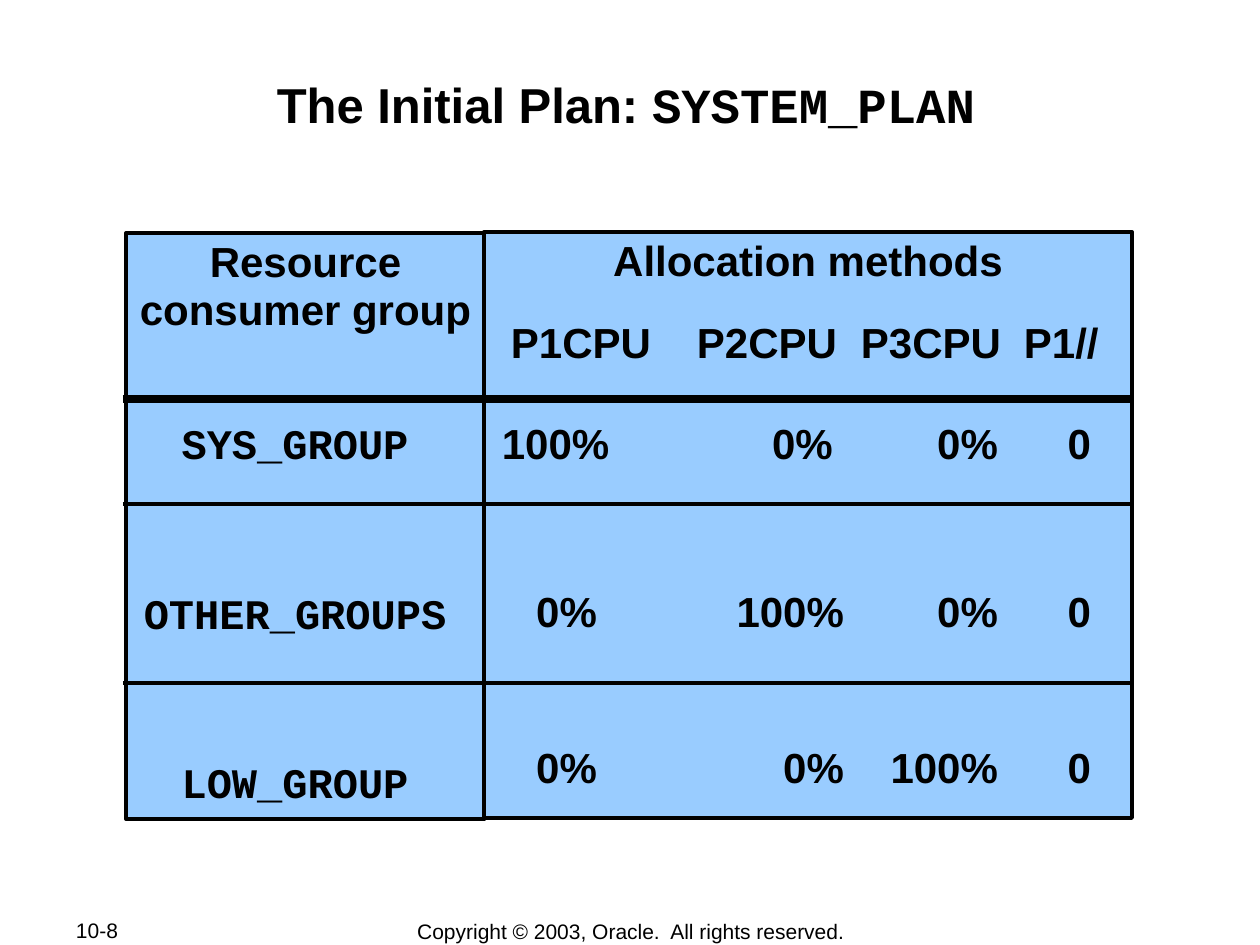
from lxml.etree import SubElement
from pptx import Presentation
from pptx.dml.color import RGBColor
from pptx.enum.shapes import MSO_CONNECTOR, MSO_SHAPE
from pptx.enum.text import MSO_ANCHOR, PP_ALIGN
from pptx.oxml.ns import qn
from pptx.util import Pt

PX = 7257
COLORS = {"ink": "000000", "cell": "99CCFF"}
SANS = "Arial"
MONO = "Courier New"
GROUPS = ["SYS_GROUP", "OTHER_GROUPS", "LOW_GROUP"]
METHODS = ["P1CPU", "P2CPU", "P3CPU", "P1//"]
METHOD_STOPS = [186, 350, 513]
ALLOCATIONS = [
    (["100%", "0%", "0%", "0"], [107, 331, 496, 589], 0),
    (["0%", "100%", "0%", "0"], [95, 342, 496, 589], 67),
    (["0%", "0%", "100%", "0"], [95, 342, 496, 589], 60),
]
RULES = [(399, 4.5), (504, 2.25), (683, 2.25)]


def px(*lengths):
    return [length * PX for length in lengths]


def color(name):
    return RGBColor.from_string(COLORS[name])


def set_frame(shape, inset_x=13, inset_y=6, anchor=MSO_ANCHOR.TOP):
    frame = shape.text_frame
    frame.word_wrap = True
    frame.vertical_anchor = anchor
    frame.margin_left = frame.margin_right = inset_x * PX
    frame.margin_top = frame.margin_bottom = inset_y * PX
    return frame


def add_frame(slide, box, **options):
    return set_frame(slide.shapes.add_textbox(*px(*box)), **options)


def add_run(paragraph, text, size=24, font=SANS, bold=True):
    run = paragraph.add_run()
    run.text = text
    run.font.name = font
    run.font.size = Pt(size)
    run.font.bold = bold
    run.font.color.rgb = color("ink")


def add_tabs(paragraph, stops, align):
    tab_list = SubElement(paragraph._p.get_or_add_pPr(), qn("a:tabLst"))
    for stop in stops:
        SubElement(tab_list, qn("a:tab"), pos=str(stop * PX), algn=align)


def add_header_cell(slide, box, lines):
    shape = slide.shapes.add_shape(MSO_SHAPE.RECTANGLE, *px(*box))
    shape.shadow.inherit = False
    shape.fill.solid()
    shape.fill.fore_color.rgb = color("cell")
    shape.line.color.rgb = color("ink")
    shape.line.width = Pt(2.25)
    paragraph = set_frame(shape).paragraphs[0]
    paragraph.alignment = PP_ALIGN.CENTER
    paragraph.line_spacing = 0.95
    for index, line in enumerate(lines):
        if index:
            paragraph.add_line_break()
        add_run(paragraph, line)


def add_rule(slide, y, width):
    rule = slide.shapes.add_connector(MSO_CONNECTOR.STRAIGHT, *px(123, y, 1131, y))
    rule.line.color.rgb = color("ink")
    rule.line.width = Pt(width)
    SubElement(rule._element.spPr, qn("a:effectLst"))


def add_title(slide):
    frame = add_frame(slide, (122, 73, 1008, 121), inset_x=1, inset_y=1)
    paragraph = frame.paragraphs[0]
    paragraph.alignment = PP_ALIGN.CENTER
    add_run(paragraph, "The Initial Plan: ", size=28)
    add_run(paragraph, "SYSTEM_PLAN", size=28, font=MONO)


def add_groups(slide):
    frame = add_frame(slide, (126, 412, 338, 396))
    for index, group in enumerate(GROUPS):
        paragraph = frame.add_paragraph() if index else frame.paragraphs[0]
        paragraph.alignment = PP_ALIGN.CENTER
        if index:
            paragraph.space_before = Pt(68)
        add_run(paragraph, group, font=MONO)


def add_methods(slide):
    paragraph = add_frame(slide, (498, 311, 632, 63)).paragraphs[0]
    add_tabs(paragraph, METHOD_STOPS, "l")
    add_run(paragraph, "\t".join(METHODS))


def add_allocations(slide):
    frame = add_frame(slide, (489, 412, 645, 383))
    for index, (values, stops, gap) in enumerate(ALLOCATIONS):
        paragraph = frame.add_paragraph() if index else frame.paragraphs[0]
        if gap:
            paragraph.space_before = Pt(gap)
        add_tabs(paragraph, stops, "r")
        add_run(paragraph, "".join("\t" + value for value in values))


def add_footer(slide, box, text, alignment):
    frame = add_frame(slide, box, inset_y=0, anchor=MSO_ANCHOR.MIDDLE)
    paragraph = frame.paragraphs[0]
    paragraph.alignment = alignment
    add_run(paragraph, text, size=12, bold=False)


def main():
    presentation = Presentation()
    presentation.slide_width, presentation.slide_height = px(1260, 945)
    slide = presentation.slides.add_slide(presentation.slide_layouts[6])
    add_footer(slide, (63, 918, 134, 25), "10-8", PP_ALIGN.LEFT)
    add_footer(slide, (348, 918, 566, 26),
               "Copyright © 2003, Oracle.  All rights reserved.", PP_ALIGN.CENTER)
    add_header_cell(slide, (126, 233, 359, 586), ["Resource", "consumer group"])
    add_header_cell(slide, (484, 232, 648, 586), ["Allocation methods"])
    add_groups(slide)
    add_allocations(slide)
    add_methods(slide)
    for y, width in RULES:
        add_rule(slide, y, width)
    add_title(slide)
    presentation.save("out.pptx")


if __name__ == "__main__":
    main()
